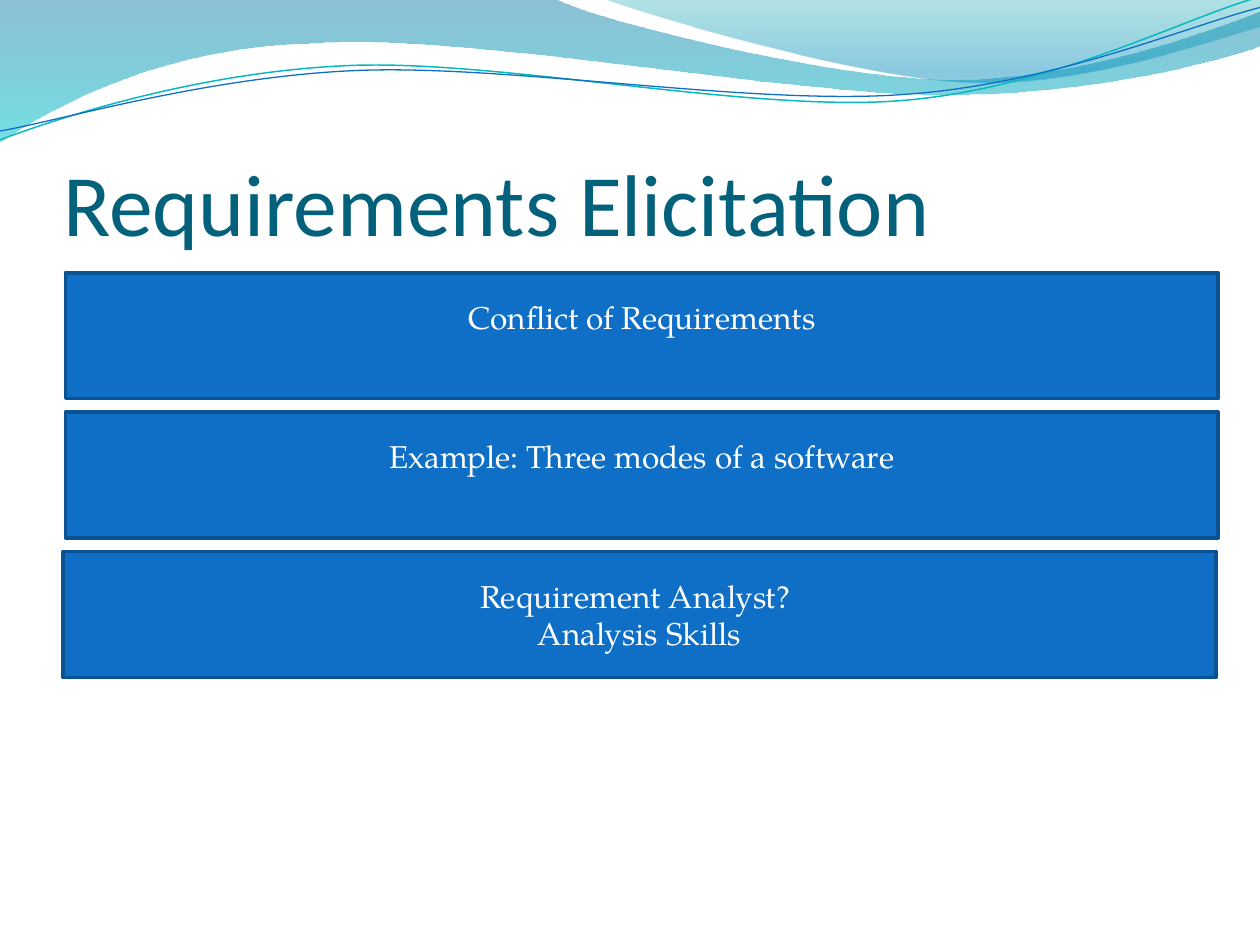
import math
from dataclasses import dataclass

import lxml.etree
import pptx
import pptx.dml.color
import pptx.enum.shapes
import pptx.enum.text
import pptx.oxml.ns
import pptx.util

Cm = pptx.util.Cm
Pt = pptx.util.Pt
RGBColor = pptx.dml.color.RGBColor
Align = pptx.enum.text.PP_ALIGN
Anchor = pptx.enum.text.MSO_ANCHOR
qn = pptx.oxml.ns.qn

TITLE_TEAL = RGBColor(0x04, 0x61, 0x7B)
BOX_BLUE = RGBColor(0x0F, 0x6F, 0xC6)
BOX_EDGE = RGBColor(0x0B, 0x52, 0x92)
CURVE_TEAL = RGBColor(0x0A, 0xB8, 0xBF)
WHITE = RGBColor(0xFF, 0xFF, 0xFF)

CM_PER_UNIT = 2.54  # wave points are given on a 10 by 7.5 grid
CURVE_TILT = -2.7


@dataclass
class Stop:
    position: float
    color: RGBColor
    opacity: int


@dataclass
class Wave:
    """Each segment holds one point for a line, or three for a Bézier curve."""
    start: tuple
    segments: list
    stops: tuple = ()
    line_color: RGBColor | None = None
    line_width: float = 0
    tilt: float = 0
    center: tuple = (0, 0)


@dataclass
class Box:
    lines: list
    left: float = 1.32
    bottom_inset: float = 0.13


WAVES = [
    Wave((0, 0), [
        [(4.4, -0.01)],
        [(4.76, 0.17), (6.64, 0.63), (7.58, 0.63)],
        [(8.53, 0.63), (9.58, 0.26), (10, 0.09)],
        [(10.01, 0.36)],
        [(9.83, 0.44), (8.7, 0.76), (7.46, 0.75)],
        [(6.22, 0.75), (3.82, 0.28), (2.57, 0.34)],
        [(1.29, 0.36), (0.46, 0.83), (-0.01, 1.13)],
        [(0, 0)],
    ], stops=(Stop(0, RGBColor(0x00, 0x74, 0xA1), 45),
              Stop(1, RGBColor(0x00, 0xC6, 0xCF), 55))),
    Wave((4.79, -0.01), [
        [(5.09, 0.11), (6.82, 0.62), (7.69, 0.65)],
        [(8.56, 0.69), (9.61, 0.32), (10, 0.21)],
        [(10, 0)],
        [(4.79, -0.01)],
    ], stops=(Stop(0, RGBColor(0x00, 0xA1, 0xA9), 30),
              Stop(0.8, RGBColor(0x00, 0x8B, 0xBF), 45))),
    Wave((0, 1.11), [
        [(0.48, 0.93), (1.58, 0.57), (2.77, 0.52)],
        [(3.95, 0.47), (5.93, 0.89), (7.13, 0.8)],
        [(8.33, 0.71), (9.38, 0.15), (9.98, -0.02)],
    ], line_color=CURVE_TEAL, line_width=0.85,
        tilt=CURVE_TILT, center=(4.99, 0.58)),
    Wave((0, 1.04), [
        [(0.47, 0.96), (1.64, 0.61), (2.83, 0.56)],
        [(4.03, 0.51), (5.97, 0.84), (7.17, 0.75)],
        [(8.36, 0.67), (9.41, 0.21), (10, 0.06)],
    ], line_color=BOX_BLUE, line_width=0.75,
        tilt=CURVE_TILT, center=(5, 0.59)),
]

BOXES = [
    Box(["Conflict of Requirements"], bottom_inset=0.9),
    Box(["Example: Three modes of a software"], bottom_inset=0.9),
    Box(["Requirement Analyst? ", "Analysis Skills"], left=1.27),
]
BOX_TOP, BOX_PITCH = 5.5, 2.81
BOX_WIDTH, BOX_HEIGHT = 23.24, 2.54


def untilted(point: tuple, wave: Wave) -> tuple:
    """Position of a point, as lengths, before the wave's tilt is applied."""
    angle = math.radians(-wave.tilt)
    dx, dy = point[0] - wave.center[0], point[1] - wave.center[1]
    x = wave.center[0] + dx * math.cos(angle) - dy * math.sin(angle)
    y = wave.center[1] + dx * math.sin(angle) + dy * math.cos(angle)
    return Cm(CM_PER_UNIT * x), Cm(CM_PER_UNIT * y)


def bend_segments(outline, segments: list) -> None:
    """Join the line steps of each three-point segment into one Bézier curve."""
    steps = iter(list(outline._element.iter(qn("a:lnTo"))))
    for segment in segments:
        first, *others = [next(steps) for _ in segment]
        if not others:
            continue
        curve = lxml.etree.Element(qn("a:cubicBezTo"))
        first.addprevious(curve)
        for step in (first, *others):
            curve.append(step[0])
            step.getparent().remove(step)


def fill_gradient(fill, stops: tuple) -> None:
    fill.gradient()
    fill.gradient_angle = 270
    for target, stop in zip(fill.gradient_stops, stops):
        target.color.rgb = stop.color
        target.position = stop.position
    colors = list(fill._xPr.iter(qn("a:srgbClr")))
    for color, stop in zip(colors, stops):
        alpha = lxml.etree.SubElement(color, qn("a:alpha"))
        alpha.set("val", str(stop.opacity * 1000))


def draw_wave(slide, wave: Wave) -> None:
    points = [untilted(point, wave)
              for segment in wave.segments for point in segment]
    builder = slide.shapes.build_freeform(*untilted(wave.start, wave))
    builder.add_line_segments(points, close=bool(wave.stops))
    outline = builder.convert_to_shape()
    bend_segments(outline, wave.segments)
    outline.rotation = wave.tilt
    outline.shadow.inherit = False
    if wave.stops:
        fill_gradient(outline.fill, wave.stops)
        outline.line.fill.background()
    else:
        outline.fill.background()
        outline.line.color.rgb = wave.line_color
        outline.line.width = Pt(wave.line_width)


def add_run(paragraph, text: str, font: str, size: int, color: RGBColor) -> None:
    run = paragraph.add_run()
    run.text = text
    run.font.name = font
    run.font.size = Pt(size)
    run.font.color.rgb = color


def draw_box(slide, box: Box, top: float) -> None:
    panel = slide.shapes.add_shape(
        pptx.enum.shapes.MSO_SHAPE.RECTANGLE,
        Cm(box.left), Cm(top), Cm(BOX_WIDTH), Cm(BOX_HEIGHT))
    panel.shadow.inherit = False
    panel.fill.solid()
    panel.fill.fore_color.rgb = BOX_BLUE
    panel.line.color.rgb = BOX_EDGE
    panel.line.width = Pt(2)
    frame = panel.text_frame
    frame.word_wrap = True
    frame.vertical_anchor = Anchor.MIDDLE
    frame.margin_bottom = Cm(box.bottom_inset)
    for index, line in enumerate(box.lines):
        paragraph = frame.add_paragraph() if index else frame.paragraphs[0]
        paragraph.alignment = Align.CENTER
        add_run(paragraph, line, "TeX Gyre Pagella", 18, WHITE)


def write_title(slide) -> None:
    title = slide.shapes.title
    title.left, title.top = Cm(1.27), Cm(1.95)
    title.width, title.height = Cm(22.86), Cm(3.18)
    frame = title.text_frame
    frame.auto_size = pptx.enum.text.MSO_AUTO_SIZE.NONE
    frame.vertical_anchor = Anchor.BOTTOM
    frame.margin_left = frame.margin_right = frame.margin_bottom = Cm(0)
    frame.margin_top = Cm(0.13)
    paragraph = frame.paragraphs[0]
    paragraph.alignment = Align.LEFT
    add_run(paragraph, "Requirements Elicitation", "Calibri", 50, TITLE_TEAL)
    # Bring the title in front of the waves
    slide.shapes._spTree.append(title._element)


def main() -> None:
    presentation = pptx.Presentation()
    presentation.slide_width, presentation.slide_height = Cm(25.4), Cm(19.05)
    slide = presentation.slides.add_slide(presentation.slide_layouts[5])
    for wave in WAVES:
        draw_wave(slide, wave)
    write_title(slide)
    for index, box in enumerate(BOXES):
        draw_box(slide, box, BOX_TOP + index * BOX_PITCH)
    presentation.save("out.pptx")


if __name__ == "__main__":
    main()
